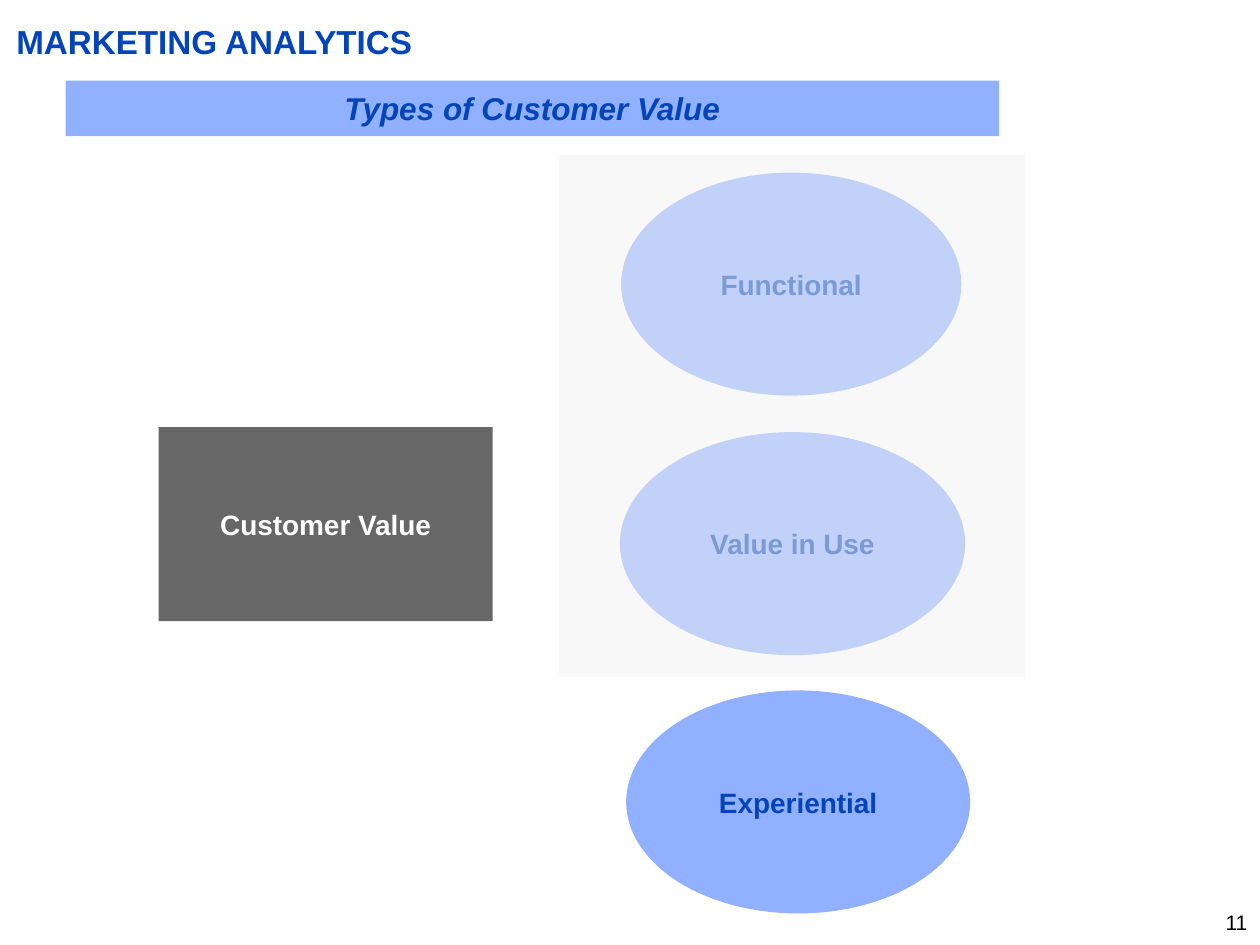
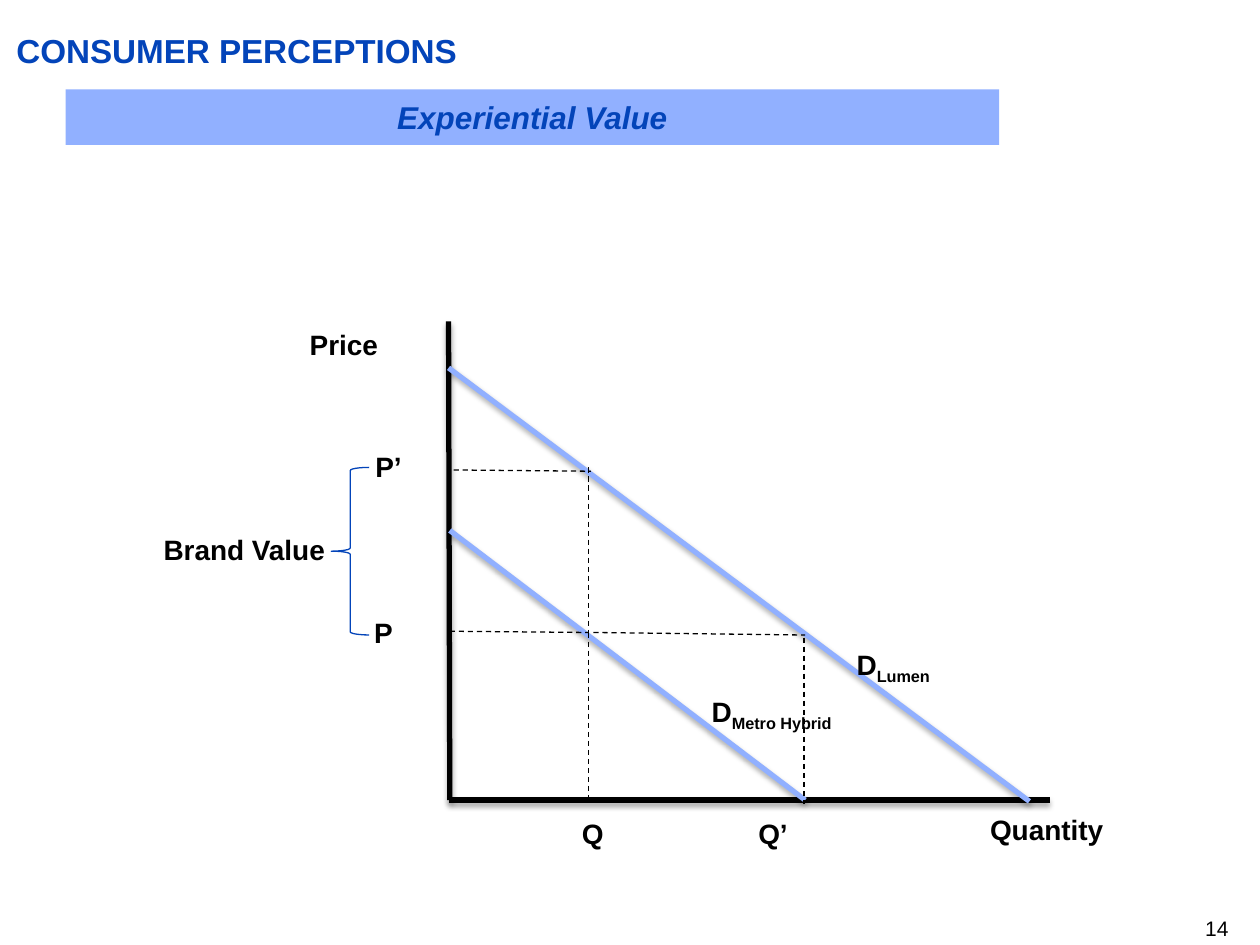
import pptx
import pptx.util
import pptx.dml.color
import pptx.enum.dml
import pptx.enum.shapes
import pptx.enum.text
import pptx.oxml
import pptx.oxml.ns

Inches = pptx.util.Inches
Align = pptx.enum.text.PP_ALIGN
Anchor = pptx.enum.text.MSO_ANCHOR
Preset = pptx.enum.shapes.MSO_SHAPE
Color = pptx.dml.color.RGBColor.from_string

COLORS = {
    "blue": "0344B9",
    "light_blue": "91B0FF",
    "gray": "676767",
    "veil": "F2F2F2",
    "black": "000000",
    "white": "FFFFFF",
}
NAMESPACE = pptx.oxml.ns.nsdecls("a")
SHADOW = (
    f'<a:effectLst {NAMESPACE}><a:outerShdw blurRad="40000" dist="23000" dir="5400000" '
    'rotWithShape="0"><a:srgbClr val="000000"><a:alpha val="35000"/></a:srgbClr>'
    "</a:outerShdw></a:effectLst>"
)
NO_SHADOW = f"<a:effectLst {NAMESPACE}/>"


def write(shape, text, size, color, align=Align.LEFT, bold=True, italic=False,
          inset=None, anchor=Anchor.TOP):
    """Fill a shape with one formatted paragraph and return the paragraph."""
    frame = shape.text_frame
    frame.word_wrap = True
    frame.auto_size = pptx.enum.text.MSO_AUTO_SIZE.NONE
    frame.vertical_anchor = anchor
    if inset is not None:
        frame.margin_left = frame.margin_right = Inches(inset)
        frame.margin_top = frame.margin_bottom = Inches(inset)
    paragraph = frame.paragraphs[0]
    paragraph.text = text
    paragraph.alignment = align
    paragraph.font.name = "Arial"
    paragraph.font.size = pptx.util.Pt(size)
    paragraph.font.bold = bold
    paragraph.font.italic = italic
    paragraph.font.color.rgb = Color(COLORS[color])
    return paragraph


def add_block(slide, preset, left, top, width, height, fill):
    """Add a flat preset shape without an outline."""
    shape = slide.shapes.add_shape(
        preset, Inches(left), Inches(top), Inches(width), Inches(height))
    shape.shadow.inherit = False
    shape.fill.solid()
    shape.fill.fore_color.rgb = Color(COLORS[fill])
    shape.line.fill.background()
    return shape


presentation = pptx.Presentation()
presentation.slide_width = Inches(10)
presentation.slide_height = Inches(7.5)

# Shared parts: title, band and page number
pages = [
    # title, title top, band text, page number, number left, number top
    ("MARKETING ANALYTICS", 0.17, "Types of Customer Value", "11", 7.82, 7.22),
    ("CONSUMER PERCEPTIONS", 0.24, "Experiential Value", "14", 7.67, 7.27),
]
for title_text, title_top, band_text, number, number_left, number_top in pages:
    slide = presentation.slides.add_slide(presentation.slide_layouts[5])
    title = slide.shapes.title
    title.left, title.top = Inches(0.13), Inches(title_top)
    title.width, title.height = Inches(9.62), Inches(0.32)
    write(title, title_text, 19, "blue", inset=0)

    band = add_block(slide, Preset.RECTANGLE, 0.52, title_top + 0.47, 7.41, 0.44, "light_blue")
    write(band, band_text, 18, "blue", Align.CENTER, italic=True, anchor=Anchor.MIDDLE)

    page_number = slide.shapes.add_textbox(
        Inches(number_left), Inches(number_top), Inches(2.08), Inches(0.2))
    write(page_number, number, 12, "black", Align.RIGHT, bold=False, inset=0)

types_slide, demand_slide = presentation.slides

# Customer value and its three types
value_blocks = [
    (Preset.RECTANGLE, 1.26, 3.39, 2.65, 1.54, "gray", "Customer Value", "white"),
    (Preset.OVAL, 4.93, 1.37, 2.7, 1.77, "light_blue", "Functional", "blue"),
    (Preset.OVAL, 4.92, 3.43, 2.74, 1.77, "light_blue", "Value in Use", "blue"),
    (Preset.OVAL, 4.97, 5.48, 2.73, 1.77, "light_blue", "Experiential", "blue"),
]
for preset, left, top, width, height, fill, label, color in value_blocks:
    block = add_block(types_slide, preset, left, top, width, height, fill)
    write(block, label, 16, color, Align.CENTER, anchor=Anchor.MIDDLE)

# Half-transparent veil over the first two types
veil = add_block(types_slide, Preset.RECTANGLE, 4.44, 1.23, 3.69, 4.14, "veil")
veil_color = veil.fill._xPr.find(".//" + pptx.oxml.ns.qn("a:srgbClr"))
veil_color.append(pptx.oxml.parse_xml(f'<a:alpha {NAMESPACE} val="50000"/>'))

# Axes, demand curves and dashed guides
axes = [(3.56, 2.55, 3.57, 6.35), (8.33, 6.35, 3.56, 6.35)]
demand_curves = [(3.57, 4.21, 6.39, 6.35), (3.56, 2.92, 8.17, 6.36)]
guides = [
    (3.57, 5.01, 4.67, 5.02), (4.67, 5.02, 4.67, 6.35),
    (4.71, 5.02, 6.39, 5.04), (6.38, 5.06, 6.38, 6.38),
    (4.67, 3.71, 4.67, 5.04), (3.6, 3.73, 4.69, 3.74),
]
line_groups = [
    (axes, "black", 3, False),
    (demand_curves, "light_blue", 3, False),
    (guides, "black", 0.75, True),
]
for lines, color, weight, dashed in line_groups:
    for ends in lines:
        connector = demand_slide.shapes.add_connector(
            pptx.enum.shapes.MSO_CONNECTOR.STRAIGHT, *map(Inches, ends))
        connector.line.color.rgb = Color(COLORS[color])
        connector.line.width = pptx.util.Pt(weight)
        if dashed:
            connector.line.dash_style = pptx.enum.dml.MSO_LINE.DASH
        effects = NO_SHADOW if dashed else SHADOW
        connector._element.spPr.append(pptx.oxml.parse_xml(effects))

# Brace between the two prices
brace = add_block(demand_slide, Preset.LEFT_BRACE, 2.63, 3.71, 0.3, 1.33, "white")
brace.fill.background()
brace.line.color.rgb = Color(COLORS["blue"])
brace.line.width = pptx.util.Pt(0.75)

# Diagram labels, some with a subscript
labels = [
    ("Price", "", 2.36, 2.55, 0.98),
    ("Quantity", "", 7.76, 6.4, 1.3),
    ("D", "Metro Hybrid", 5.55, 5.46, 1.31),
    ("D", "Lumen", 6.7, 5.09, 1.31),
    ("P’", "", 2.88, 3.52, 0.98),
    ("P", "", 2.87, 4.84, 0.98),
    ("Q", "", 4.52, 6.43, 0.98),
    ("Q’", "", 5.92, 6.43, 0.98),
    ("Brand Value", "", 1.2, 4.18, 1.52),
]
for text, subscript, left, top, width in labels:
    label = demand_slide.shapes.add_textbox(
        Inches(left), Inches(top), Inches(width), Inches(0.37))
    paragraph = write(label, text, 16, "black")
    if subscript:
        run = paragraph.add_run()
        run.text = subscript
        run.font._element.set("baseline", "-25000")

presentation.save("out.pptx")
